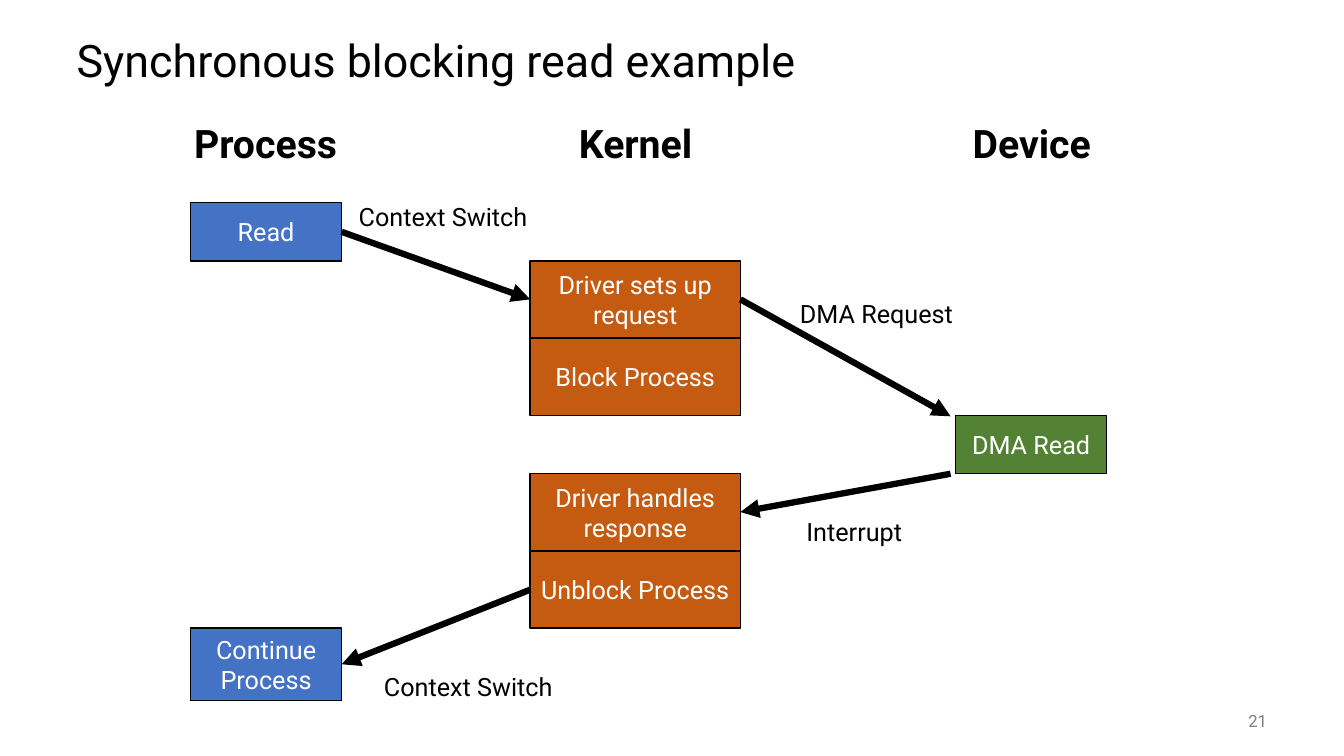
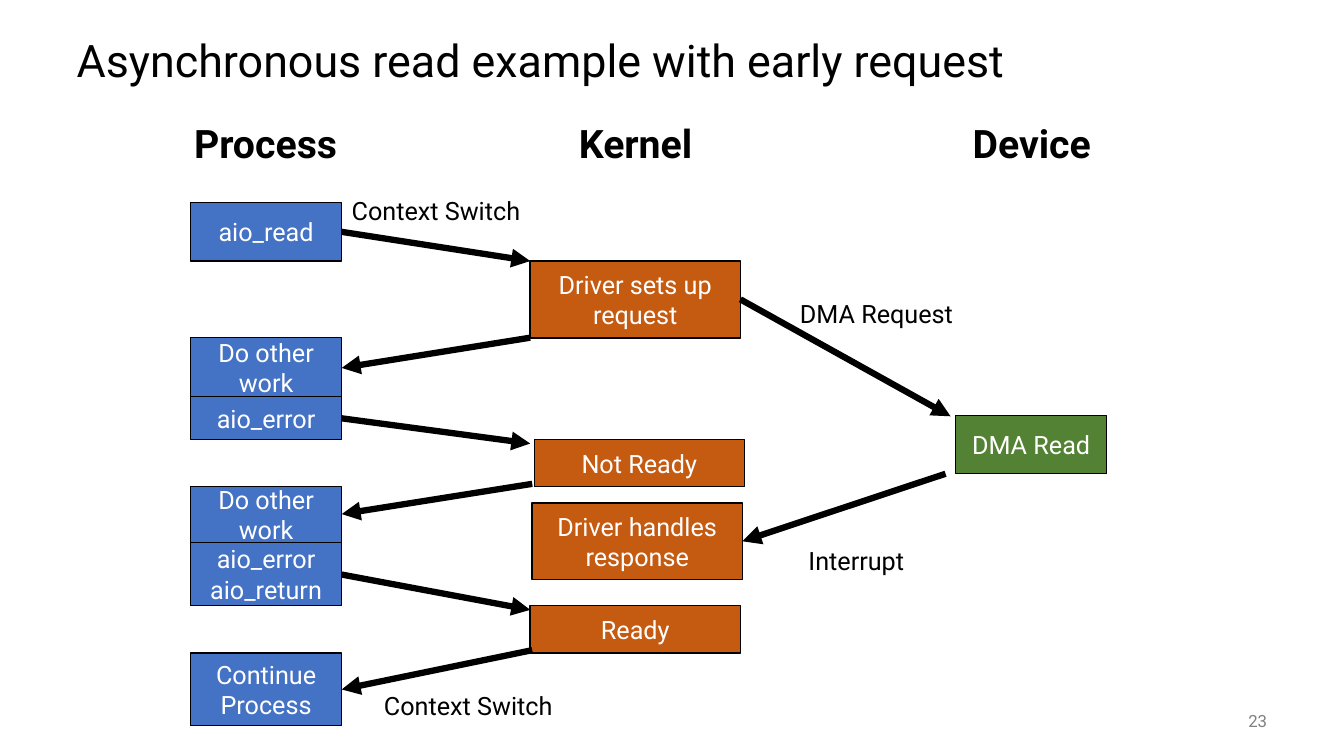
"""Build two slides that trace blocking and asynchronous reads across three lanes."""
from dataclasses import dataclass

from lxml import etree
from pptx import Presentation, util as u
from pptx.dml.color import RGBColor
from pptx.enum import shapes, text
from pptx.oxml import ns

BLACK = RGBColor(0x00, 0x00, 0x00)
WHITE = RGBColor(0xFF, 0xFF, 0xFF)
GRAY = RGBColor(0x80, 0x80, 0x80)
BLUE = RGBColor(0x44, 0x72, 0xC4)
ORANGE = RGBColor(0xC5, 0x5A, 0x11)
GREEN = RGBColor(0x54, 0x82, 0x35)

CELL = u.Inches(0.1)
COLUMNS, ROWS = 133.33, 75


@dataclass
class Lane:
    """A titled column of boxes, measured in grid cells."""
    name: str
    heading: float
    left: float
    width: float
    color: RGBColor

    @property
    def right(self):
        """Return the column where the boxes of the lane end."""
        return self.left + self.width


PROCESS = Lane("Process", 16.3, 18.9, 15, BLUE)
KERNEL = Lane("Kernel", 53, 52.6, 20.85, ORANGE)
DEVICE = Lane("Device", 92.3, 94.8, 15, GREEN)


def cells(*counts):
    """Turn counts of grid cells into lengths."""
    return [u.Emu(int(count * CELL)) for count in counts]


class Deck:
    """Hold the style and the current slide."""

    FONT = "Roboto"
    LABEL_WIDTH = 20.1

    def __init__(self):
        """Start an empty wide presentation."""
        self.show = Presentation()
        self.show.slide_width, self.show.slide_height = cells(COLUMNS, ROWS)
        self.page = None

    def put_text(self, shape, words, size, color=BLACK, bold=False,
                 align=text.PP_ALIGN.CENTER, anchor=text.MSO_ANCHOR.MIDDLE):
        """Put formatted words into a shape."""
        frame = shape.text_frame
        frame_format = {"word_wrap": True, "vertical_anchor": anchor,
                        "auto_size": text.MSO_AUTO_SIZE.NONE}
        for name, value in frame_format.items():
            setattr(frame, name, value)
        para = frame.paragraphs[0]
        para.text = words
        para.alignment = align
        font_format = {"name": self.FONT, "size": u.Pt(size), "bold": bold}
        for span in para.runs:
            for name, value in font_format.items():
                setattr(span.font, name, value)
            span.font.color.rgb = color
        return para

    def start(self, title, number):
        """Add a slide with its title, number and lane headings."""
        self.page = self.show.slides.add_slide(self.show.slide_layouts[5])
        holder = self.page.shapes.title
        place = zip(("left", "top", "width", "height"), cells(6.6, 2.5, 120, 7.5))
        for name, value in place:
            setattr(holder, name, value)
        para = self.put_text(holder, title, 32, align=text.PP_ALIGN.LEFT)
        para.line_spacing = 0.9
        corner = self.page.shapes.add_textbox(*cells(116.7, 69.5, 10, 4))
        self.put_text(corner, str(number), 12, GRAY, align=text.PP_ALIGN.RIGHT)
        for lane in (PROCESS, KERNEL, DEVICE):
            self.label(lane.heading, 11.3, lane.name, 28, True)

    def label(self, left, top, words, size=18, bold=False):
        """Add a centred free label."""
        height = size * 0.2 + 0.4
        box = self.page.shapes.add_textbox(*cells(left, top, self.LABEL_WIDTH, height))
        self.put_text(box, words, size, bold=bold, anchor=text.MSO_ANCHOR.TOP)

    def box(self, lane, top, height, words, shift=0):
        """Add a step to a lane."""
        box = self.page.shapes.add_shape(
            shapes.MSO_SHAPE.RECTANGLE,
            *cells(lane.left + shift, top, lane.width, height))
        box.shadow.inherit = False
        box.fill.solid()
        box.fill.fore_color.rgb = lane.color
        box.line.color.rgb = BLACK
        box.line.width = u.Pt(1)
        self.put_text(box, words, 18, WHITE)

    def arrow(self, left, top, right, bottom):
        """Add a thick arrow from the first point to the second."""
        line = self.page.shapes.add_connector(
            shapes.MSO_CONNECTOR.STRAIGHT, *cells(left, top, right, bottom))
        line.line.color.rgb = BLACK
        line.line.width = u.Pt(4.5)
        outline = line._element.spPr
        stroke = outline.find(ns.qn("a:ln"))
        etree.SubElement(stroke, ns.qn("a:tailEnd"), type="triangle")
        etree.SubElement(outline, ns.qn("a:effectLst"))

    def enter(self, start, end):
        """Add an arrow from the process to the kernel."""
        self.arrow(PROCESS.right, start, KERNEL.left, end)

    def leave(self, start, end, shift=0):
        """Add an arrow from the kernel back to the process."""
        self.arrow(KERNEL.left + shift, start, PROCESS.right, end)

    def request(self):
        """Add the steps that set up the transfer on the device."""
        self.box(KERNEL, 25.9, 7.65, "Driver sets up request")
        self.box(DEVICE, 41.2, 5.8, "DMA Read")
        self.arrow(KERNEL.right, 29.7, 94.3, 41.3)
        self.label(76.9, 29.1, "DMA Request")


def blocking_read(deck):
    """Draw the read that blocks its process."""
    deck.start("Synchronous blocking read example", 21)
    deck.request()
    deck.box(PROCESS, 20.1, 5.8, "Read")
    deck.box(PROCESS, 62.3, 7.2, "Continue Process")
    for top, words in ((33.55, "Block Process"),
                       (47, "Driver handles response"),
                       (54.65, "Unblock Process")):
        deck.box(KERNEL, top, 7.65, words)
    deck.arrow(94.3, 47, KERNEL.right, 50.8)
    deck.enter(23, 29.7)
    deck.leave(58.5, 65.9)
    deck.label(33.9, 19.5, "Context Switch")
    deck.label(36.4, 66.1, "Context Switch")
    deck.label(74.7, 50.7, "Interrupt")


def early_request(deck):
    """Draw the read that lets its process go on working."""
    deck.start("Asynchronous read example with early request", 23)
    deck.request()
    for top, height, words in ((20.1, 5.8, "aio_read"),
                               (33.5, 5.85, "Do other work"),
                               (39.35, 4.25, "aio_error"),
                               (53.8, 6.3, "aio_error\naio_return"),
                               (48.25, 5.55, "Do other work"),
                               (64.8, 7.2, "Continue Process")):
        deck.box(PROCESS, top, height, words)
    for top, height, words, shift in ((43.6, 4.7, "Not Ready", 0.4),
                                      (49.9, 7.6, "Driver handles response", 0.2),
                                      (60.1, 4.7, "Ready", 0)):
        deck.box(KERNEL, top, height, words, shift)
    deck.arrow(93.8, 47, KERNEL.right + 0.2, 53.7)
    for start, end in ((23, 25.9), (41.5, 44), (57, 60.5)):
        deck.enter(start, end)
    for start, end, shift in ((33.5, 36.5, 0), (48, 51, 0.2), (64.5, 68.4, 0.2)):
        deck.leave(start, end, shift)
    deck.label(33.2, 18.9, "Context Switch")
    deck.label(36.4, 68, "Context Switch")
    deck.label(74.9, 53.6, "Interrupt")


def main():
    """Build and save the deck."""
    deck = Deck()
    blocking_read(deck)
    early_request(deck)
    deck.show.save("out.pptx")


if __name__ == "__main__":
    main()
